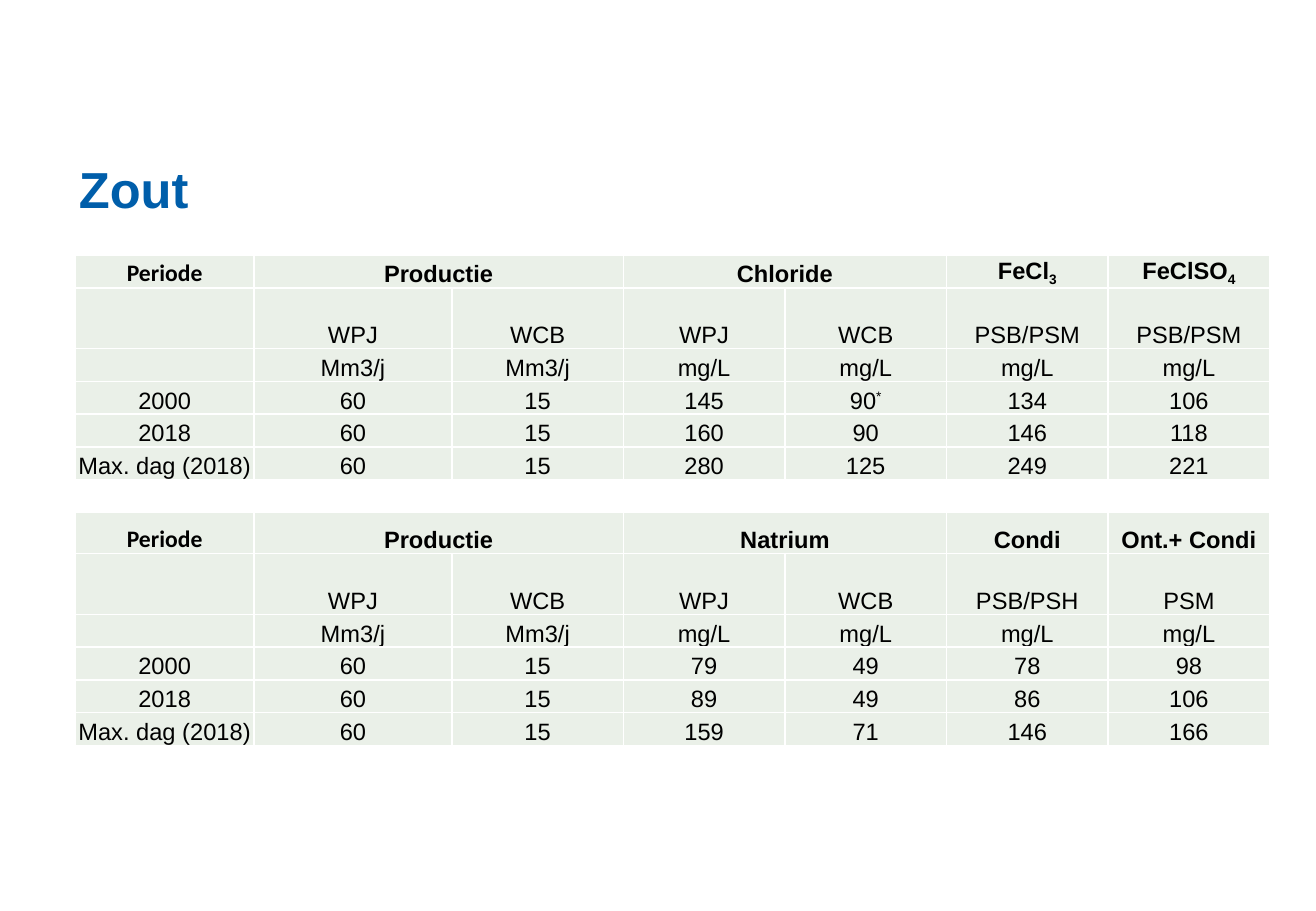
from dataclasses import dataclass

from lxml import etree
from pptx import Presentation
from pptx.dml.color import RGBColor
from pptx.enum.text import MSO_ANCHOR, PP_ALIGN
from pptx.oxml.ns import qn

LEFT = PP_ALIGN.LEFT
CENTER = PP_ALIGN.CENTER
BOTTOM = MSO_ANCHOR.BOTTOM

PX = 9144  # EMU in one px, 100 px to the inch
POINT = 12700


@dataclass(frozen=True)
class Theme:
    blue: RGBColor = RGBColor(0x00, 0x5E, 0xAA)
    black: RGBColor = RGBColor(0x00, 0x00, 0x00)
    cell: RGBColor = RGBColor(0xEA, 0xF0, 0xE8)
    border: str = "FFFFFF"
    border_width: int = POINT
    font: str = "Arial"
    period_font: str = "Calibri"
    title_size: int = 30 * POINT
    table_size: int = 14 * POINT


THEME = Theme()

TITLE_BOX = (54, 61, 975, 125)
TABLE_BOX = (62, 210, 981, 401)
COLUMN_WIDTHS = (147, 163, 141, 133, 133, 133, 133)
ROW_HEIGHT = 27
TALL_ROWS = {1: 50, 7: 34, 8: 50}
HEADER_ROWS = (0, 7)
GAP_ROW = 6

# A cell with a raised or lowered mark is (text, mark, baseline in percent).
UNITS = ("", "Mm3/j", "Mm3/j", "mg/L", "mg/L", "mg/L", "mg/L")
ROWS = (
    ("Periode", "Productie", "", "Chloride", "", ("FeCl", "3", -25), ("FeClSO", "4", -25)),
    ("", "WPJ", "WCB", "WPJ", "WCB", "PSB/PSM", "PSB/PSM"),
    UNITS,
    ("2000", "60", "15", "145", ("90", "*", 30), "134", "106"),
    ("2018", "60", "15", "160", "90", "146", "118"),
    ("Max. dag (2018)", "60", "15", "280", "125", "249", "221"),
    ("",) * len(COLUMN_WIDTHS),
    ("Periode", "Productie", "", "Natrium", "", "Condi", "Ont.+ Condi"),
    ("", "WPJ", "WCB", "WPJ", "WCB", "PSB/PSH", "PSM"),
    UNITS,
    ("2000", "60", "15", "79", "49", "78", "98"),
    ("2018", "60", "15", "89", "49", "86", "106"),
    ("Max. dag (2018)", "60", "15", "159", "71", "146", "166"),
)


def add_run(paragraph, text, size, color, bold, font=THEME.font, baseline=0):
    run = paragraph.add_run()
    run.text = text
    run.font.size = size
    run.font.bold = bold
    run.font.name = font
    run.font.color.rgb = color
    if baseline:
        run._r.get_or_add_rPr().set("baseline", str(baseline * 1000))


def set_insets(frame, left, top, right, bottom):
    frame.margin_left, frame.margin_top = left * PX, top * PX
    frame.margin_right, frame.margin_bottom = right * PX, bottom * PX


def set_borders(cell):
    properties = cell._tc.get_or_add_tcPr()
    for index, side in enumerate(("lnL", "lnR", "lnT", "lnB")):
        line = etree.Element(qn(f"a:{side}"), w=str(THEME.border_width))
        fill = etree.SubElement(line, qn("a:solidFill"))
        etree.SubElement(fill, qn("a:srgbClr"), val=THEME.border)
        properties.insert(index, line)


def fill_cell(cell, content, bold, font):
    paragraph = cell.text_frame.paragraphs[0]
    paragraph.alignment = CENTER
    cell.vertical_anchor = BOTTOM
    set_insets(cell, 1, 1, 1, 0)
    text, mark, baseline = content if isinstance(content, tuple) else (content, "", 0)
    style = (THEME.table_size, THEME.black, bold, font)
    if text:
        add_run(paragraph, text, *style)
    else:
        # Keeps an empty cell from stretching its row.
        size = str(THEME.table_size // POINT * 100)
        etree.SubElement(paragraph._p, qn("a:endParaRPr"), sz=size)
    if mark:
        add_run(paragraph, mark, *style, baseline)


def add_title(slide, box, text):
    title = slide.shapes.title
    title.left, title.top, title.width, title.height = (length * PX for length in box)
    frame = title.text_frame
    frame.vertical_anchor = BOTTOM
    set_insets(frame, 11, 6, 11, 6)
    paragraph = frame.paragraphs[0]
    paragraph.alignment = LEFT
    add_run(paragraph, text, THEME.title_size, THEME.blue, True)


def add_salt_table(slide, box):
    position = (length * PX for length in box)
    table = slide.shapes.add_table(len(ROWS), len(COLUMN_WIDTHS), *position).table
    table.first_row = False
    table.horz_banding = False
    for column, width in zip(table.columns, COLUMN_WIDTHS):
        column.width = width * PX
    for row_index, contents in enumerate(ROWS):
        table.rows[row_index].height = TALL_ROWS.get(row_index, ROW_HEIGHT) * PX
        is_header = row_index in HEADER_ROWS
        for column_index, content in enumerate(contents):
            cell = table.cell(row_index, column_index)
            font = THEME.period_font if is_header and column_index == 0 else THEME.font
            fill_cell(cell, content, is_header, font)
            if row_index == GAP_ROW:
                cell.fill.background()
            else:
                cell.fill.solid()
                cell.fill.fore_color.rgb = THEME.cell
            set_borders(cell)
        if is_header:
            for first in (1, 3):
                table.cell(row_index, first).merge(table.cell(row_index, first + 1))


def main():
    presentation = Presentation()
    presentation.slide_width = 1083 * PX
    presentation.slide_height = 750 * PX
    slide = presentation.slides.add_slide(presentation.slide_layouts[5])
    add_title(slide, TITLE_BOX, "Zout")
    add_salt_table(slide, TABLE_BOX)
    presentation.save("out.pptx")


if __name__ == "__main__":
    main()
